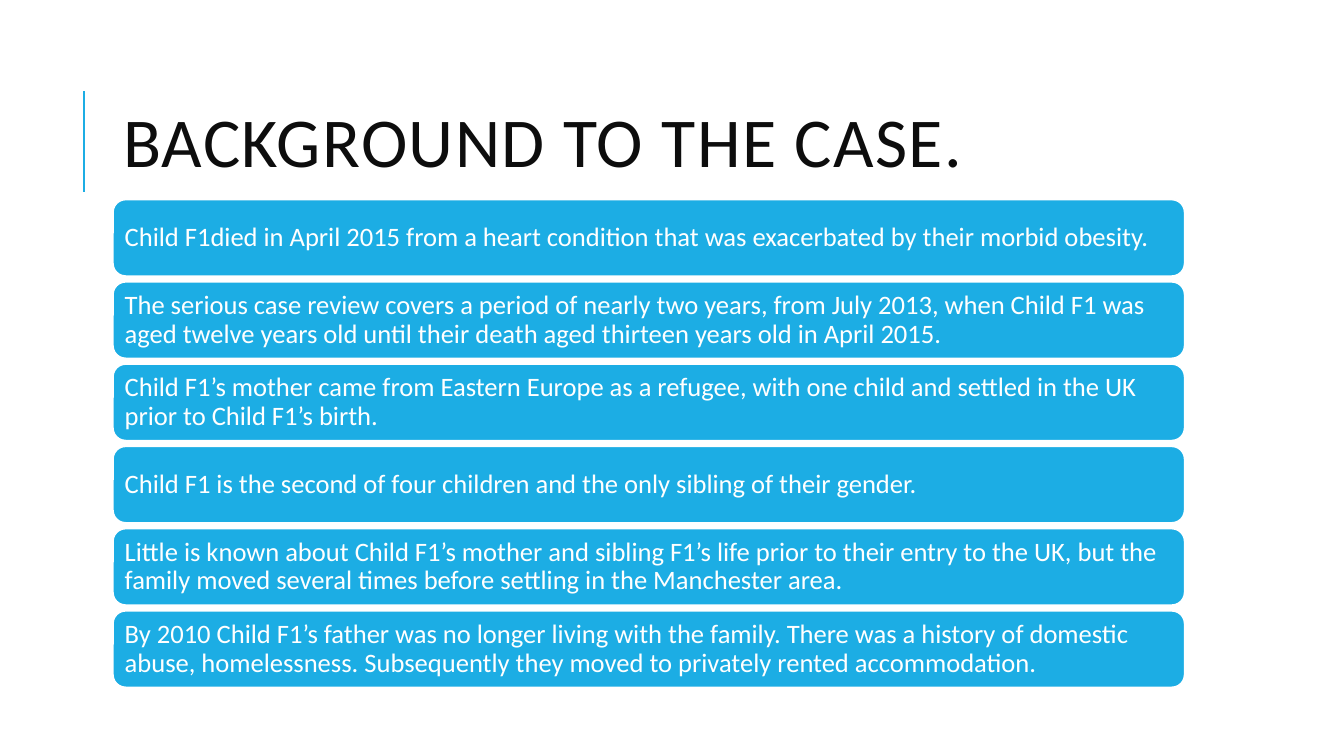
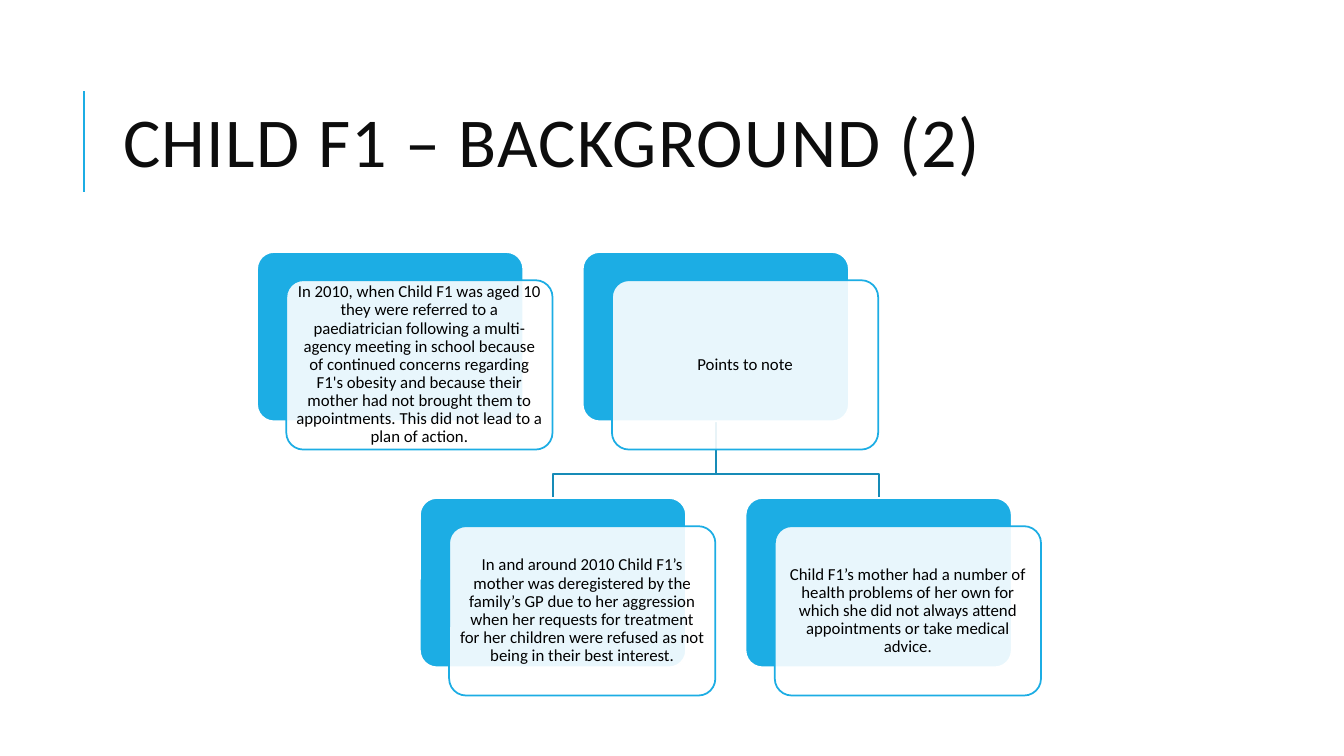
from dataclasses import dataclass

from lxml import etree
from pptx import Presentation
from pptx.dml.color import RGBColor
from pptx.enum.shapes import MSO_CONNECTOR, MSO_SHAPE
from pptx.enum.text import MSO_ANCHOR, MSO_AUTO_SIZE, PP_ALIGN
from pptx.oxml.ns import qn
from pptx.util import Inches, Pt

STRAIGHT = MSO_CONNECTOR.STRAIGHT
ROUNDED = MSO_SHAPE.ROUNDED_RECTANGLE
MIDDLE = MSO_ANCHOR.MIDDLE
NO_AUTOFIT = MSO_AUTO_SIZE.NONE
LEFT, CENTER = PP_ALIGN.LEFT, PP_ALIGN.CENTER
TITLE_ONLY = 5


@dataclass(frozen=True)
class Theme:
    font: str = "Calibri"
    accent: RGBColor = RGBColor(0x1C, 0xAD, 0xE4)
    branch: RGBColor = RGBColor(0x16, 0x8B, 0xB7)
    white: RGBColor = RGBColor(0xFF, 0xFF, 0xFF)
    black: RGBColor = RGBColor(0x00, 0x00, 0x00)
    title_ink: RGBColor = RGBColor(0x0D, 0x0D, 0x0D)
    title_size: Pt = Pt(50)
    bar_size: Pt = Pt(19)
    card_size: Pt = Pt(12)
    rule_width: Pt = Pt(1.5)
    outline_width: Pt = Pt(1.25)


CONTENT_LEFT, CONTENT_WIDTH = 1.12, 10.63
BARS_TOP, BARS_BOTTOM, BAR_HEIGHT = 1.98, 6.82, 0.76
CARD_WIDTH, CARD_HEIGHT = 2.64, 1.68
CARDS_LEFT, CARD_STEP = 2.55, 3.23
ROW_TOPS = (2.5, 4.94)
FRONT_OFFSET_X, FRONT_OFFSET_Y = 0.29, 0.28
BRANCH_Y = 4.7

CASE_FACTS = [
    "Child F1died in April 2015 from a heart condition that was exacerbated by their morbid obesity.",
    "The serious case review covers a period of nearly two years, from July 2013, when Child F1 was "
    "aged twelve years old until their death aged thirteen years old in April 2015.",
    "Child F1’s mother came from Eastern Europe as a refugee, with one child and settled in the UK "
    "prior to Child F1’s birth.",
    "Child F1 is the second of four children and the only sibling of their gender.",
    "Little is known about Child F1’s mother and sibling F1’s life prior to their entry to the UK, "
    "but the family moved several times before settling in the Manchester area.",
    "By 2010 Child F1’s father was no longer living with the family. There was a history of domestic "
    "abuse, homelessness. Subsequently they moved to privately rented accommodation.",
]

# Each card: column in card steps, row, text
REFERRAL = (
    0, 0,
    "In 2010, when Child F1 was aged 10 they were referred to a paediatrician following a "
    "multi-agency meeting in school because of continued concerns regarding F1's obesity and "
    "because their mother had not brought them to appointments. This did not lead to a plan of action.",
)
POINTS_TO_NOTE = (1, 0, "Points to note")
POINTS = [
    (0.5, 1,
     "In and around 2010 Child F1’s mother was deregistered by the family’s GP due to her aggression "
     "when her requests for treatment for her children were refused as not being in their best interest."),
    (1.5, 1,
     "Child F1’s mother had a number of health problems of her own for which she did not always "
     "attend appointments or take medical advice."),
]


def card_left(column):
    return CARDS_LEFT + column * CARD_STEP


class Deck:
    def __init__(self, theme):
        self.theme = theme
        self.presentation = Presentation()
        self.presentation.slide_width = Inches(13.33)
        self.presentation.slide_height = Inches(7.5)
        self.slide = None

    def start_slide(self, heading):
        """Add a slide with its title and the vertical rule beside it."""
        theme = self.theme
        layout = self.presentation.slide_layouts[TITLE_ONLY]
        self.slide = self.presentation.slides.add_slide(layout)

        rule = self.slide.shapes.add_connector(
            STRAIGHT, Inches(0.83), Inches(1.9), Inches(0.83), Inches(0.9))
        rule.line.color.rgb = theme.accent
        rule.line.width = theme.rule_width
        etree.SubElement(rule._element.spPr, qn("a:effectLst"))

        title = self.slide.shapes.title
        title.left, title.top = Inches(CONTENT_LEFT), Inches(0.64)
        title.width, title.height = Inches(CONTENT_WIDTH), Inches(1.64)
        self.set_text(title, heading, theme.title_size, theme.title_ink, LEFT, 0.8)
        run = title.text_frame.paragraphs[0].runs[0]
        run._r.get_or_add_rPr().set("spc", "100")

    def set_text(self, shape, text, size, color, align, line_spacing=0.9, inset=None):
        frame = shape.text_frame
        frame.text = text
        frame.word_wrap = True
        frame.auto_size = NO_AUTOFIT
        frame.vertical_anchor = MIDDLE
        if inset is not None:
            frame.margin_left = frame.margin_right = Inches(inset)
            frame.margin_top = frame.margin_bottom = Inches(inset)
        paragraph = frame.paragraphs[0]
        paragraph.alignment = align
        paragraph.line_spacing = line_spacing
        paragraph.font.name = self.theme.font
        paragraph.font.size = size
        paragraph.font.color.rgb = color

    def panel(self, left, top, width, height, fill, outline):
        panel = self.slide.shapes.add_shape(
            ROUNDED, Inches(left), Inches(top), Inches(width), Inches(height))
        panel.shadow.inherit = False
        panel.fill.solid()
        panel.fill.fore_color.rgb = fill
        panel.line.color.rgb = outline
        panel.line.width = self.theme.outline_width
        return panel

    def bars(self, texts):
        """Stack equal bars from BARS_TOP to BARS_BOTTOM."""
        theme = self.theme
        step = (BARS_BOTTOM - BARS_TOP - BAR_HEIGHT) / (len(texts) - 1)
        for index, text in enumerate(texts):
            bar = self.panel(CONTENT_LEFT, BARS_TOP + index * step,
                             CONTENT_WIDTH, BAR_HEIGHT, theme.accent, theme.white)
            self.set_text(bar, text, theme.bar_size, theme.white, LEFT, inset=0.08)

    def card(self, column, row, text):
        """Draw a solid back panel and a translucent front panel with the text."""
        theme = self.theme
        left, top = card_left(column), ROW_TOPS[row]
        back = self.panel(left, top, CARD_WIDTH, CARD_HEIGHT, theme.accent, theme.white)
        front = self.panel(left + FRONT_OFFSET_X, top + FRONT_OFFSET_Y,
                           CARD_WIDTH, CARD_HEIGHT, theme.white, theme.accent)
        for panel in (back, front):
            panel.adjustments[0] = 0.1
        fill_color = front._element.spPr.find(qn("a:solidFill")).find(qn("a:srgbClr"))
        etree.SubElement(fill_color, qn("a:alpha"), val="90000")
        self.set_text(front, text, theme.card_size, theme.black, CENTER, inset=0.05)

    def branch(self, parent_column, child_column):
        """Draw the angled line from a top-row card to a bottom-row card."""
        start_x, end_x = (Inches(card_left(column) + CARD_WIDTH / 2)
                          for column in (parent_column, child_column))
        builder = self.slide.shapes.build_freeform(start_x, Inches(ROW_TOPS[0] + CARD_HEIGHT))
        builder.add_line_segments(
            [(start_x, Inches(BRANCH_Y)), (end_x, Inches(BRANCH_Y)), (end_x, Inches(ROW_TOPS[1]))],
            close=False)
        line = builder.convert_to_shape()
        line.shadow.inherit = False
        line.fill.background()
        line.line.color.rgb = self.theme.branch
        line.line.width = self.theme.outline_width


def main():
    deck = Deck(Theme())

    deck.start_slide("BACKGROUND TO THE CASE.")
    deck.bars(CASE_FACTS)

    deck.start_slide("CHILD F1 – BACKGROUND (2)")
    for column, _, _ in POINTS:
        deck.branch(POINTS_TO_NOTE[0], column)
    for card in (REFERRAL, POINTS_TO_NOTE, *POINTS):
        deck.card(*card)

    deck.presentation.save("out.pptx")


if __name__ == "__main__":
    main()
